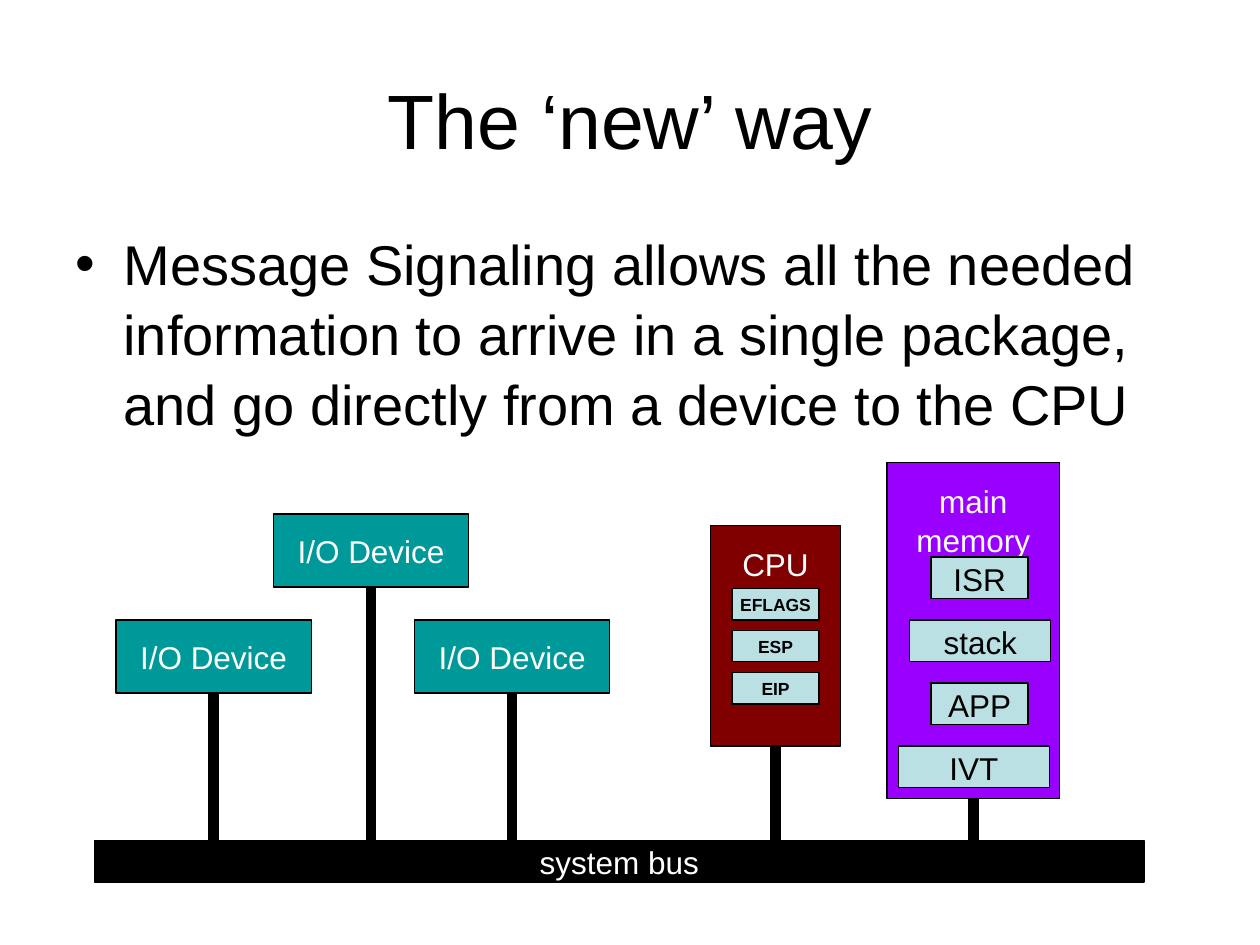
from lxml import etree
from pptx import Presentation
from pptx.dml.color import RGBColor
from pptx.enum.shapes import MSO_CONNECTOR, MSO_SHAPE
from pptx.enum.text import MSO_ANCHOR, PP_ALIGN
from pptx.oxml.ns import qn
from pptx.util import Inches, Pt

RECTANGLE = MSO_SHAPE.RECTANGLE
STRAIGHT = MSO_CONNECTOR.STRAIGHT
TOP, MIDDLE = MSO_ANCHOR.TOP, MSO_ANCHOR.MIDDLE
CENTER, LEFT = PP_ALIGN.CENTER, PP_ALIGN.LEFT
BOTTOM_SIDE = 2
LINE_SPACING = 1.04
COLORS = {
    "black": "000000",
    "white": "FFFFFF",
    "device": "009999",
    "cpu": "800000",
    "memory": "9900FF",
    "cell": "BBE0E3",
}


def write_text(frame, lines, size, color, bold=False, align=CENTER):
    frame.text = "\n".join(lines)
    for para in frame.paragraphs:
        para.alignment = align
        para.line_spacing = LINE_SPACING
        para.font.name = "Arial"
        para.font.size = Pt(size)
        para.font.bold = bold
        para.font.color.rgb = RGBColor.from_string(COLORS[color])


def add_box(place, lines, fill, color, size=18, bold=False, anchor=MIDDLE):
    box = page.shapes.add_shape(RECTANGLE, *[Inches(value) for value in place])
    box.shadow.inherit = False
    box.fill.solid()
    box.fill.fore_color.rgb = RGBColor.from_string(COLORS[fill])
    box.line.color.rgb = RGBColor.from_string(COLORS["black"])
    box.line.width = Pt(0.75)
    frame = box.text_frame
    frame.word_wrap = False
    frame.vertical_anchor = anchor
    if anchor == TOP:
        frame.margin_top = Inches(0.14)
    write_text(frame, lines, size, color, bold)
    return box


deck = Presentation()
deck.slide_width, deck.slide_height = Inches(10), Inches(7.5)
page = deck.slides.add_slide(deck.slide_layouts[1])

title = page.shapes.title
title.left, title.top = Inches(0.5), Inches(0.3)
title.width, title.height = Inches(9), Inches(1.25)
title.text_frame.vertical_anchor = MIDDLE
write_text(title.text_frame, ["The ‘new’ way"], 44, "black")

body = page.placeholders[1]
body.left, body.top = Inches(0.5), Inches(1.75)
body.width, body.height = Inches(9), Inches(4.95)
message = (
    "Message Signaling allows all the needed information to arrive "
    "in a single package, and go directly from a device to the CPU"
)
write_text(body.text_frame, [message], 32, "black", align=LEFT)
bullet_para = body.text_frame.paragraphs[0]
bullet_para.space_before = Pt(8)
properties = bullet_para._p.get_or_add_pPr()
properties.set("marL", str(Inches(0.38)))
properties.set("indent", str(-Inches(0.38)))
bullet = etree.Element(qn("a:buChar"), char="•")
properties.find(qn("a:defRPr")).addprevious(bullet)

bus = add_box((0.75, 6.67, 8.33, 0.33), ["system bus"], "black", "white")

bus_users = [
    add_box((left, top, 1.55, 0.58), ["I/O Device"], "device", "white")
    for left, top in [(0.92, 4.92), (2.17, 4.08), (3.29, 4.92)]
]
bus_users.append(
    add_box((5.64, 4.17, 1.03, 1.75), ["CPU"], "cpu", "white", anchor=TOP)
)
bus_users.append(
    add_box((7.04, 3.67, 1.37, 2.67), ["main", "memory"], "memory", "white", anchor=TOP)
)

for row, register in enumerate(["EFLAGS", "ESP", "EIP"]):
    add_box((5.81, 4.67 + row / 3, 0.69, 0.25), [register], "cell", "black", 10, True)

regions = [("ISR", 7.39, 0.77), ("stack", 7.22, 1.12), ("APP", 7.39, 0.77), ("IVT", 7.13, 1.2)]
for row, (region, left, width) in enumerate(regions):
    add_box((left, 4.42 + row * 0.5, width, 0.33), [region], "cell", "black")

for box in bus_users:
    center = box.left + box.width // 2
    link = page.shapes.add_connector(STRAIGHT, center, box.top + box.height, center, bus.top)
    link.begin_connect(box, BOTTOM_SIDE)
    link.line.color.rgb = RGBColor.from_string(COLORS["black"])
    link.line.width = Pt(6)
    etree.SubElement(link._element.spPr, qn("a:effectLst"))

deck.save("out.pptx")
